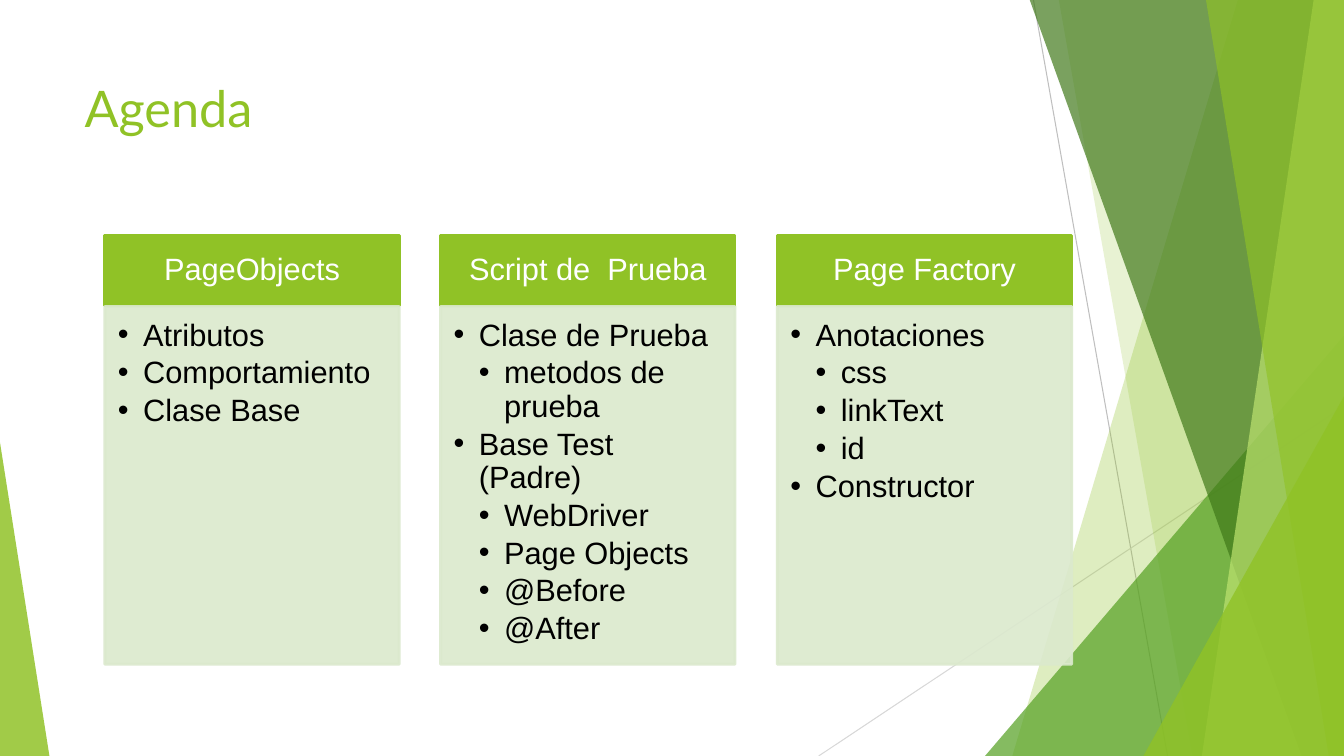
from lxml.etree import SubElement
from pptx import Presentation
from pptx.dml.color import RGBColor
from pptx.enum.shapes import MSO_CONNECTOR, MSO_SHAPE
from pptx.enum.text import MSO_ANCHOR, PP_ALIGN
from pptx.oxml.ns import qn
from pptx.util import Inches, Pt

cell = Inches(0.01)
wide, high = 1333, 750
green = "90C226"

deck = Presentation()
deck.slide_width, deck.slide_height = wide * cell, high * cell
slide = deck.slides.add_slide(deck.slide_layouts[6])
shapes = slide.shapes


def paint(fill, color, alpha=100):
    fill.solid()
    fill.fore_color.rgb = RGBColor.from_string(color)
    if alpha < 100:
        node = fill._xPr.find(qn("a:solidFill"))[0]
        SubElement(node, qn("a:alpha")).set("val", str(alpha * 1000))


def write(shape, text, size=22, font="Arial", color="000000", align=PP_ALIGN.LEFT,
          anchor=MSO_ANCHOR.TOP, inset=(10, 10, 10, 10), space=1, after=0, level=0):
    frame = shape.text_frame
    frame.word_wrap = True
    frame.vertical_anchor = anchor
    (frame.margin_left, frame.margin_top,
     frame.margin_right, frame.margin_bottom) = [n * cell for n in inset]
    para = frame.add_paragraph() if frame.text else frame.paragraphs[0]
    para.alignment = align
    para.line_spacing = space
    para.space_after = Pt(after)
    run = para.add_run()
    run.text = text
    run.font.size = Pt(size)
    run.font.name = font
    paint(run.font.fill, color)
    if level:
        para.level = level
        props = para._p.get_or_add_pPr()
        props.set("marL", str(25 * level * cell))
        props.set("indent", str(-25 * cell))
        SubElement(props, qn("a:buFont")).set("typeface", "Arial")
        SubElement(props, qn("a:buChar")).set("char", "•")


for x1, y1, x2, y2, color in [(1025, 0, 1158, high, "BFBFBF"),
                              (wide, 403, 812, high, "D8D8D8")]:
    line = shapes.add_connector(MSO_CONNECTOR.STRAIGHT,
                                x1 * cell, y1 * cell, x2 * cell, y2 * cell)
    paint(line.line.fill, color)
    line.line.width = Pt(0.75)
    SubElement(line._element.spPr, qn("a:effectLst"))

facets = [
    ("band", 1228, 1004, green, 29),
    ("band", 1050, 1183, green, 20),
    ("peak", 977, 333, 356, 1, "54A021", 71),
    ("band", 1021, 1291, "3F7818", 69),
    ("band", 1303, 1192, "BFE471", 69),
    ("band", 1196, 1318, green, 64),
    ("peak", 1134, 393, 199, 1, green, 80),
    ("peak", 0, 439, 49, 0, green, 84),
]
for kind, *spots, color, alpha in facets:
    if kind == "band":
        head, foot = spots
        pen = shapes.build_freeform(head, -1, scale=cell)
        pen.add_line_segments([(wide, -1), (wide, high), (foot, high)], close=True)
        facet = pen.convert_to_shape()
    else:
        left, top, width, tip = spots
        facet = shapes.add_shape(MSO_SHAPE.ISOSCELES_TRIANGLE, left * cell, top * cell,
                                 width * cell, (high - top) * cell)
        facet.adjustments[0] = tip
    facet.shadow.inherit = False
    paint(facet.fill, color, alpha)
    facet.line.fill.background()

title = shapes.add_textbox(74 * cell, 67 * cell, 940 * cell, 144 * cell)
write(title, "Agenda", size=36, font="Lato", color=green)

cards = [
    ("PageObjects", [(1, "Atributos"), (1, "Comportamiento"), (1, "Clase Base")]),
    ("Script de  Prueba", [(1, "Clase de Prueba"), (2, "metodos de prueba"),
                           (1, "Base Test (Padre)"), (2, "WebDriver"),
                           (2, "Page Objects"), (2, "@Before"), (2, "@After")]),
    ("Page Factory", [(1, "Anotaciones"), (2, "css"), (2, "linkText"), (2, "id"),
                      (1, "Constructor")]),
]
for spot, (name, items) in enumerate(cards):
    left = (208 + 667 * spot) // 2
    parts = []
    for top, tall, color, alpha in [(234, 69, green, 100), (304, 355, "DBE9CD", 90)]:
        part = shapes.add_shape(MSO_SHAPE.RECTANGLE, left * cell, top * cell,
                                292 * cell, tall * cell)
        part.shadow.inherit = False
        paint(part.fill, color, alpha)
        paint(part.line.fill, color, alpha)
        part.line.width = Pt(2)
        parts.append(part)
    header, body = parts
    write(header, name, color="FFFFFF", align=PP_ALIGN.CENTER,
          anchor=MSO_ANCHOR.MIDDLE, inset=(17, 10, 17, 10), space=0.9)
    for level, item in items:
        write(body, item, inset=(13, 13, 17, 19), space=0.9, after=3.3, level=level)

deck.save("out.pptx")
